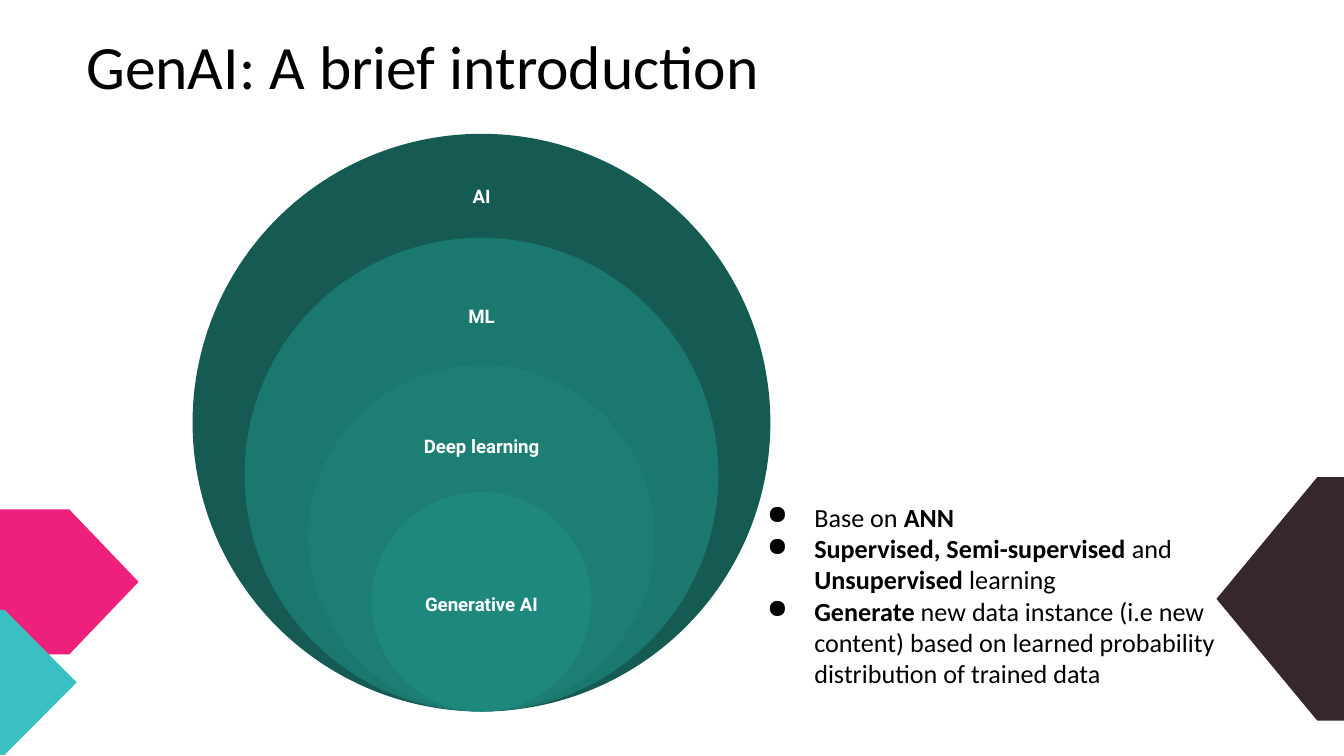
from dataclasses import dataclass
from lxml.etree import SubElement
from pptx import Presentation
from pptx.dml.color import RGBColor
from pptx.enum.shapes import MSO_SHAPE as Shape
from pptx.enum.text import MSO_ANCHOR as Anchor, MSO_AUTO_SIZE as AutoSize, PP_ALIGN as Align
from pptx.oxml.ns import qn
from pptx.util import Cm, Pt


@dataclass(frozen=True)
class Theme:
    text: str = "000000"
    label: str = "FFFFFF"
    pink: str = "ED217C"
    cyan: str = "3AC0C3"
    dark: str = "37262D"
    rings: tuple = ("155B54", "1B786E", "1D7E74", "1F887E")
    body_font: str = "Calibri"
    label_font: str = "Roboto"
    title_size: int = 33
    body_size: int = 14
    label_size: int = 10


THEME = Theme()


def write_text(frame, paragraphs, *, font, size, color, align=Align.LEFT,
               anchor=Anchor.TOP, margins=(0.25, 0.25), line_spacing=None):
    frame.word_wrap = True
    frame.auto_size = AutoSize.NONE
    frame.vertical_anchor = anchor
    frame.margin_left = frame.margin_right = Cm(margins[0])
    frame.margin_top = frame.margin_bottom = Cm(margins[1])
    for index, runs in enumerate(paragraphs):
        paragraph = frame.add_paragraph() if index else frame.paragraphs[0]
        paragraph.alignment = align
        paragraph.line_spacing = line_spacing
        for text, bold in runs:
            run = paragraph.add_run()
            run.text = text
            run.font.name = font
            run.font.size = Pt(size)
            run.font.bold = bold
            run.font.color.rgb = RGBColor.from_string(color)


def add_bullet(paragraph, color, indent, hanging):
    properties = paragraph._p.get_or_add_pPr()
    properties.set("marL", str(Cm(indent)))
    properties.set("indent", str(-Cm(hanging)))
    bullet_color = SubElement(properties, qn("a:buClr"))
    SubElement(bullet_color, qn("a:srgbClr"), val=color)
    SubElement(properties, qn("a:buChar"), char="●")


def add_filled(shapes, kind, box, color):
    shape = shapes.add_shape(kind, *map(Cm, box))
    shape.shadow.inherit = False
    shape.fill.solid()
    shape.fill.fore_color.rgb = RGBColor.from_string(color)
    shape.line.fill.background()
    return shape


def add_decoration(slide, box, color, point, rotation=0):
    shape = add_filled(slide.shapes, Shape.PENTAGON, box, color)
    shape.adjustments[0] = point
    shape.rotation = rotation


def add_title(slide, box, text):
    title = slide.shapes.title
    title.left, title.top, title.width, title.height = map(Cm, box)
    write_text(title.text_frame, [[(text, False)]], font=THEME.body_font,
               size=THEME.title_size, color=THEME.text, anchor=Anchor.MIDDLE,
               margins=(0.18, 0.1), line_spacing=0.9)


def add_nested_circles(slide, box, rings):
    left, top, width, height = box
    center, bottom = left + width / 2, top + height
    for (name, scale, offset, label_width, label_height), color in zip(rings, THEME.rings):
        diameter = width * scale
        ring_top = bottom - diameter
        group = slide.shapes.add_group_shape()
        add_filled(group.shapes, Shape.OVAL,
                   (center - diameter / 2, ring_top, diameter, diameter), color)
        label_box = (center - label_width / 2, ring_top + offset, label_width, label_height)
        label = group.shapes.add_textbox(*map(Cm, label_box))
        write_text(label.text_frame, [[(name, True)]], font=THEME.label_font,
                   size=THEME.label_size, color=THEME.label, align=Align.CENTER,
                   anchor=Anchor.MIDDLE)


def add_bullet_list(slide, box, items):
    frame = slide.shapes.add_textbox(*map(Cm, box)).text_frame
    write_text(frame, items, font=THEME.body_font, size=THEME.body_size, color=THEME.text)
    for paragraph in frame.paragraphs:
        add_bullet(paragraph, THEME.text, indent=1.27, hanging=0.89)


def main():
    presentation = Presentation()
    presentation.slide_width, presentation.slide_height = Cm(25.4), Cm(14.29)
    slide = presentation.slides.add_slide(presentation.slide_layouts[5])

    add_decoration(slide, (0, 9.63, 2.62, 2.74), THEME.pink, 0.5)
    add_decoration(slide, (0, 11.53, 1.45, 2.74), THEME.cyan, 0.94)
    add_decoration(slide, (22.99, 9.02, 2.44, 4.6), THEME.dark, 0.78, rotation=180)
    add_title(slide, (1.45, 0.3, 21.89, 2.03), "GenAI: A brief introduction")
    add_nested_circles(slide, (3.64, 2.53, 10.92, 10.92), [
        ("AI", 1, 0.23, 5.36, 1.9),
        ("ML", 0.82, 0.69, 4.39, 1.57),
        ("Deep learning", 0.6, 0.79, 4.11, 1.47),
        ("Generative AI", 0.38, 1.22, 3.43, 1.8),
    ])
    add_bullet_list(slide, (13.87, 9.22, 10.29, 4.11), [
        [("Base on ", False), ("ANN", True)],
        [("Supervised, Semi-supervised", True), (" and ", False),
         ("Unsupervised", True), (" learning", False)],
        [("Generate", True),
         (" new data instance (i.e new content) based on learned probability "
          "distribution of trained data", False)],
    ])
    presentation.save("out.pptx")


if __name__ == "__main__":
    main()
